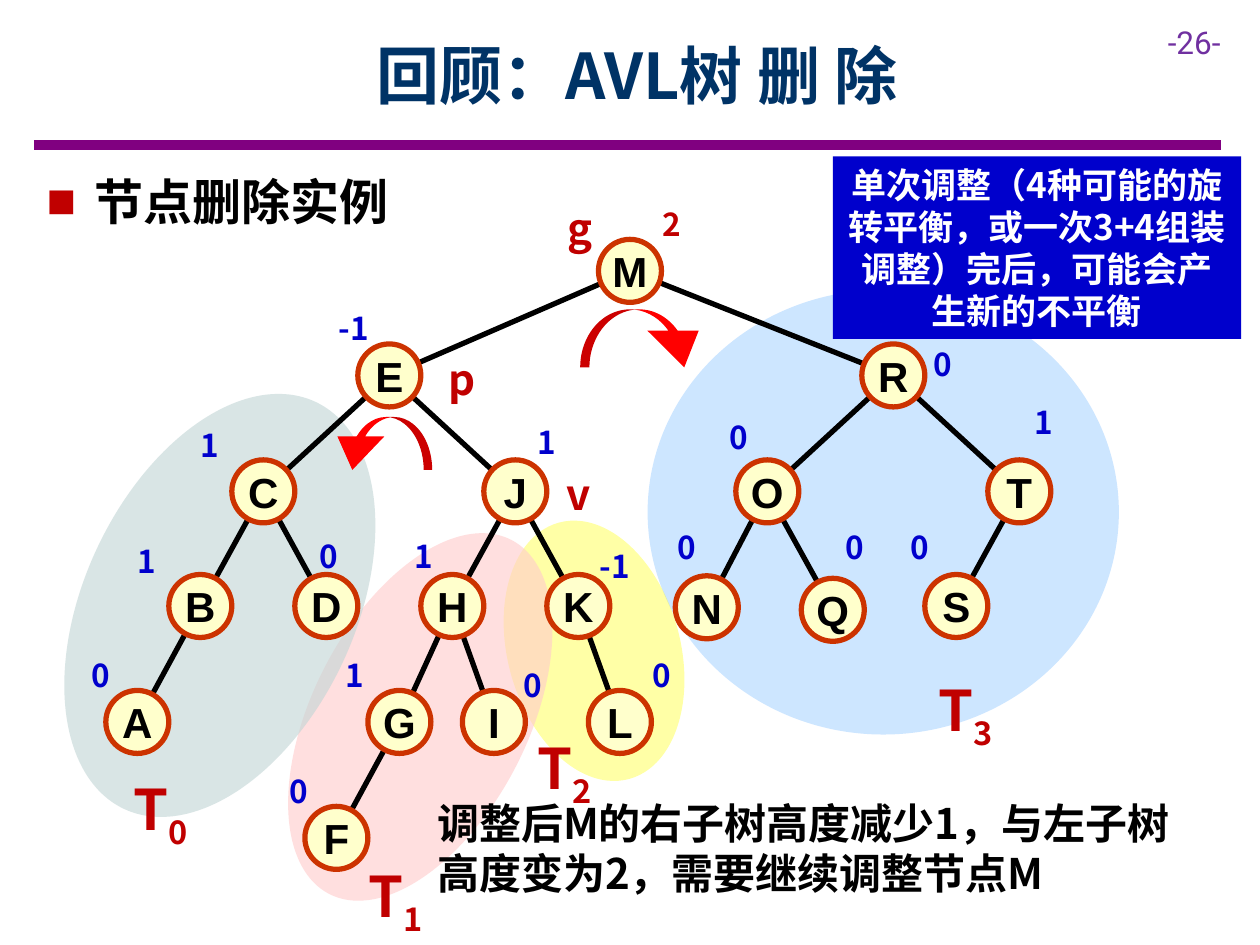
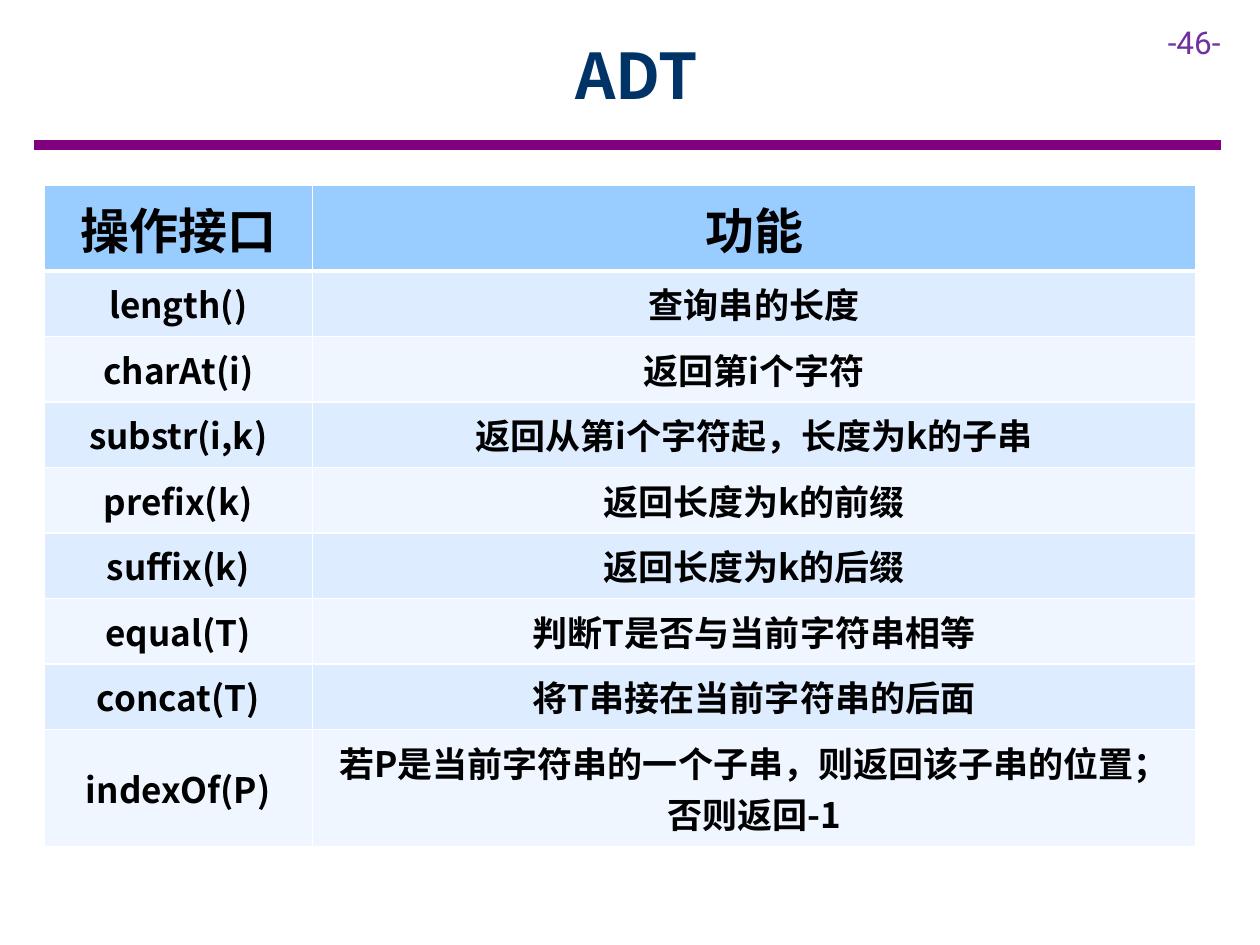
"""Build two lecture slides: deleting from an AVL tree, and the string ADT."""
from lxml import etree
from pptx import Presentation
from pptx.dml.color import RGBColor
from pptx.enum import shapes, text
from pptx.oxml import ns
from pptx.util import Inches, Pt

SANS, NODE_FONT, NUMBER_FONT = "Noto Sans CJK SC", "Arial", "Roboto"
BLACK, WHITE = RGBColor(0, 0, 0), RGBColor(255, 255, 255)
NAVY = RGBColor(0x00, 0x33, 0x66)
PURPLE = RGBColor(0x80, 0x00, 0x80)
VIOLET = RGBColor(0x70, 0x30, 0xA0)
DARK_RED = RGBColor(0xC0, 0x00, 0x00)
RED = RGBColor(0xFF, 0x00, 0x00)
BLUE = RGBColor(0x00, 0x00, 0xCC)
CREAM = RGBColor(0xFF, 0xFF, 0xCC)
RUST = RGBColor(0xCC, 0x33, 0x00)
HEADER_BLUE = RGBColor(0x99, 0xCC, 0xFF)
ROW_BLUES = RGBColor(0xDE, 0xEC, 0xFF), RGBColor(0xEF, 0xF6, 0xFF)

CENTER = text.PP_ALIGN.CENTER
OVAL = shapes.MSO_SHAPE.OVAL
NODE_SIZE = 0.5

# fill, opacity %, rotation, frame
SUBTREES = [
    (RGBColor(0x70, 0xB8, 0xFF), 35, 0, (5.14, 2.3, 3.74, 3.53)),
    (RGBColor(0xFF, 0xFF, 0x00), 35, 344.6, (4.03, 4.11, 1.37, 2.11)),
    (RGBColor(0xFF, 0xCC, 0xCC), 62, 27.2, (2.48, 4.11, 1.71, 3.16)),
    (RGBColor(0xC2, 0xD6, 0xD6), 62, 25.2, (0.67, 3.02, 2.15, 3.57)),
]
# key: left, top, parent, balance factor, its left, its top
NODES = {
    "M": (4.75, 1.9, None, "2", 5.16, 1.58),
    "E": (2.84, 2.73, "M", "-1", 2.59, 2.4),
    "R": (6.84, 2.73, "M", "0", 7.31, 2.69),
    "C": (1.84, 3.65, "E", "1", 1.49, 3.33),
    "J": (3.84, 3.65, "E", "1", 4.17, 3.31),
    "O": (5.84, 3.65, "R", "0", 5.69, 3.27),
    "T": (7.84, 3.65, "R", "1", 8.11, 3.15),
    "B": (1.34, 4.56, "C", "1", 0.99, 4.25),
    "D": (2.34, 4.56, "C", "0", 2.44, 4.21),
    "H": (3.34, 4.56, "J", "1", 3.19, 4.21),
    "K": (4.34, 4.56, "J", "-1", 4.66, 4.29),
    "N": (5.36, 4.57, "O", "0", 5.28, 4.14),
    "Q": (6.36, 4.59, "O", "0", 6.61, 4.14),
    "S": (7.34, 4.56, "T", "0", 7.13, 4.14),
    "A": (0.84, 5.48, "B", "0", 0.63, 5.16),
    "G": (2.92, 5.48, "H", "1", 2.64, 5.16),
    "I": (3.67, 5.48, "H", "0", 4.06, 5.24),
    "L": (4.67, 5.48, "K", "0", 5.08, 5.16),
    "F": (2.42, 6.4, "G", "0", 2.2, 6.08),
}
ROLES = [("g", 4.41, 1.56), ("p", 3.46, 2.76), ("v", 4.4, 3.67)]
SUBTREE_NAMES = [("0", 0.96, 6.1), ("1", 2.83, 6.79), ("2", 4.17, 5.77), ("3", 7.35, 5.31)]
# frame, flipped
ROTATIONS = [((2.81, 3.11, 0.42, 0.82), True), ((4.89, 2.17, 0.46, 1.03), False)]
BULLET = "节点删除实例"
CONCLUSION = "调整后M的右子树高度减少1，与左子树高度变为2，需要继续调整节点M"
WARNING = "单次调整（4种可能的旋转平衡，或一次3+4组装调整）完后，可能会产生新的不平衡"

OPERATIONS = [
    ("操作接口", "功能"),
    ("length()", "查询串的长度"),
    ("charAt(i)", "返回第i个字符"),
    ("substr(i,k)", "返回从第i个字符起，长度为k的子串"),
    ("prefix(k)", "返回长度为k的前缀"),
    ("suffix(k)", "返回长度为k的后缀"),
    ("equal(T)", "判断T是否与当前字符串相等"),
    ("concat(T)", "将T串接在当前字符串的后面"),
    ("indexOf(P)", "若P是当前字符串的一个子串，则返回该子串的位置；否则返回-1"),
]
COLUMN_WIDTHS = [2.13, 7.01]
ROW_HEIGHTS = [0.68] + [0.52] * 7 + [0.93]


def inches(*lengths):
    return [Inches(length) for length in lengths]


def add_element(parent, tag, **attributes):
    return etree.SubElement(parent, ns.qn(tag), attributes)


def write(frame, words, size, color, font=SANS, bold=True, align=None, after=0):
    para = frame.paragraphs[0]
    para.add_run().text = words
    para.space_before, para.space_after = Pt(0), Pt(after)
    para.alignment = align
    para.font.size, para.font.bold, para.font.name = Pt(size), bold, font
    para.font.color.rgb = color
    add_element(para._p.pPr.find(ns.qn("a:defRPr")), "a:ea", typeface=font)
    return para


def add_text(page, words, frame, size, color, wrap=False, **style):
    box = page.shapes.add_textbox(*inches(*frame))
    box.text_frame.word_wrap = wrap
    box.text_frame.auto_size = text.MSO_AUTO_SIZE.SHAPE_TO_FIT_TEXT
    return write(box.text_frame, words, size, color, **style)


def add_filled(page, kind, frame, color):
    shape = page.shapes.add_shape(kind, *inches(*frame))
    shape.shadow.inherit = False
    shape.fill.solid()
    shape.fill.fore_color.rgb = color
    shape.line.fill.background()
    return shape


def add_line(page, start, end, color, width):
    line = page.shapes.add_connector(shapes.MSO_CONNECTOR.STRAIGHT, *inches(*start, *end))
    line.line.color.rgb, line.line.width = color, Pt(width)
    add_element(line._element.spPr, "a:effectLst")


def place(holder, frame):
    holder.left, holder.top, holder.width, holder.height = inches(*frame)
    holder.text_frame.auto_size = text.MSO_AUTO_SIZE.NONE
    return holder.text_frame


def add_page(deck, layout, title, number):
    page = deck.slides.add_slide(deck.slide_layouts[layout])
    add_line(page, (0.27, 1.15), (9.69, 1.15), PURPLE, 6)
    add_text(page, f"-{number}-", (9.17, 0.13, 0.83, 0.4), 18, VIOLET,
             wrap=True, font=NUMBER_FONT, bold=False)
    frame = place(page.shapes.title, (0.9, 0.09, 8.31, 1))
    frame.vertical_anchor = text.MSO_ANCHOR.MIDDLE
    write(frame, title, 36, NAVY, align=CENTER)
    return page


def add_bullet(page):
    frame = place(page.placeholders[1], (0.27, 1.31, 6.5, 0.57))
    properties = frame.paragraphs[0]._p.get_or_add_pPr()
    properties.set("marL", str(Inches(0.38)))
    properties.set("indent", str(Inches(-0.38)))
    add_element(add_element(properties, "a:buClr"), "a:srgbClr", val=str(DARK_RED))
    add_element(properties, "a:buChar", char="■")
    write(frame, BULLET, 28, BLACK, after=6)


def node_center(key):
    left, top = NODES[key][:2]
    return left + NODE_SIZE / 2, top + NODE_SIZE / 2


def add_tree(page):
    for key, (_, _, parent, *_) in NODES.items():
        if parent:
            add_line(page, node_center(parent), node_center(key), BLACK, 3)
    for key, (left, top, parent, balance, label_left, label_top) in NODES.items():
        node = add_filled(page, OVAL, (left, top, NODE_SIZE, NODE_SIZE), CREAM)
        node.line.color.rgb, node.line.width = RUST, Pt(3)
        frame = node.text_frame
        frame.margin_left = frame.margin_right = frame.margin_top = frame.margin_bottom = 0
        frame.word_wrap = False
        frame.vertical_anchor = text.MSO_ANCHOR.MIDDLE
        write(frame, key, 24, BLACK, font=NODE_FONT, align=CENTER)
        width = 0.36 if len(balance) == 1 else 0.47
        add_text(page, balance, (label_left, label_top, width, 0.4), 18,
                 BLUE if parent else DARK_RED)


def build_tree_page(deck):
    page = add_page(deck, 1, "回顾：AVL树 删 除", 26)
    for color, opacity, angle, frame in SUBTREES:
        area = add_filled(page, OVAL, frame, color)
        area.rotation = angle
        tint = area._element.spPr.find(".//" + ns.qn("a:srgbClr"))
        add_element(tint, "a:alpha", val=str(opacity * 1000))
    add_bullet(page)
    add_tree(page)
    add_text(page, CONCLUSION, (3.37, 6.28, 6.32, 0.91), 24, BLACK, wrap=True, after=6)
    for role, left, top in ROLES:
        add_text(page, role, (left, top, 0.43, 0.5), 24, DARK_RED)
    for frame, flipped in ROTATIONS:
        arrow = add_filled(page, shapes.MSO_SHAPE.CURVED_LEFT_ARROW, frame, RED)
        arrow.rotation = 270
        for index, value in enumerate((0.16, 0.886, 0.633)):
            arrow.adjustments[index] = value
        if flipped:
            arrow._element.spPr.xfrm.set("flipV", "1")
    for index, left, top in SUBTREE_NAMES:
        para = add_text(page, "T", (left, top, 0.67, 0.64), 32, DARK_RED)
        span = para.add_run()
        span.text = index
        span._r.get_or_add_rPr().set("baseline", "-25000")
    warning = add_filled(page, shapes.MSO_SHAPE.RECTANGLE, (6.61, 1.24, 3.24, 1.45), BLUE)
    write(warning.text_frame, WARNING, 20, WHITE, align=CENTER, after=6)


def set_borders(cell, top, bottom):
    properties = cell._tc.get_or_add_tcPr()
    for side, width in (("L", 1), ("R", 1), ("T", top), ("B", bottom)):
        border = add_element(properties, f"a:ln{side}", w=str(Pt(width)))
        add_element(add_element(border, "a:solidFill"), "a:srgbClr", val=str(WHITE))


def build_adt_page(deck):
    page = add_page(deck, 5, "ADT", 46)
    table = page.shapes.add_table(
        len(OPERATIONS), len(COLUMN_WIDTHS),
        *inches(0.35, 1.47, sum(COLUMN_WIDTHS), sum(ROW_HEIGHTS))).table
    for column, width in zip(table.columns, COLUMN_WIDTHS):
        column.width = Inches(width)
    for row, height in zip(table.rows, ROW_HEIGHTS):
        row.height = Inches(height)
    for row, operation in enumerate(OPERATIONS):
        for column, words in enumerate(operation):
            cell = table.cell(row, column)
            set_borders(cell, 3 if row == 1 else 1, 3 if row == 0 else 1)
            cell.fill.solid()
            cell.fill.fore_color.rgb = ROW_BLUES[(row - 1) % 2] if row else HEADER_BLUE
            cell.vertical_anchor = text.MSO_ANCHOR.MIDDLE
            write(cell.text_frame, words, 20 if row else 28, BLACK, align=CENTER)


def main():
    deck = Presentation()
    deck.slide_width, deck.slide_height = inches(10, 7.5)
    build_tree_page(deck)
    build_adt_page(deck)
    deck.save("out.pptx")


if __name__ == "__main__":
    main()
